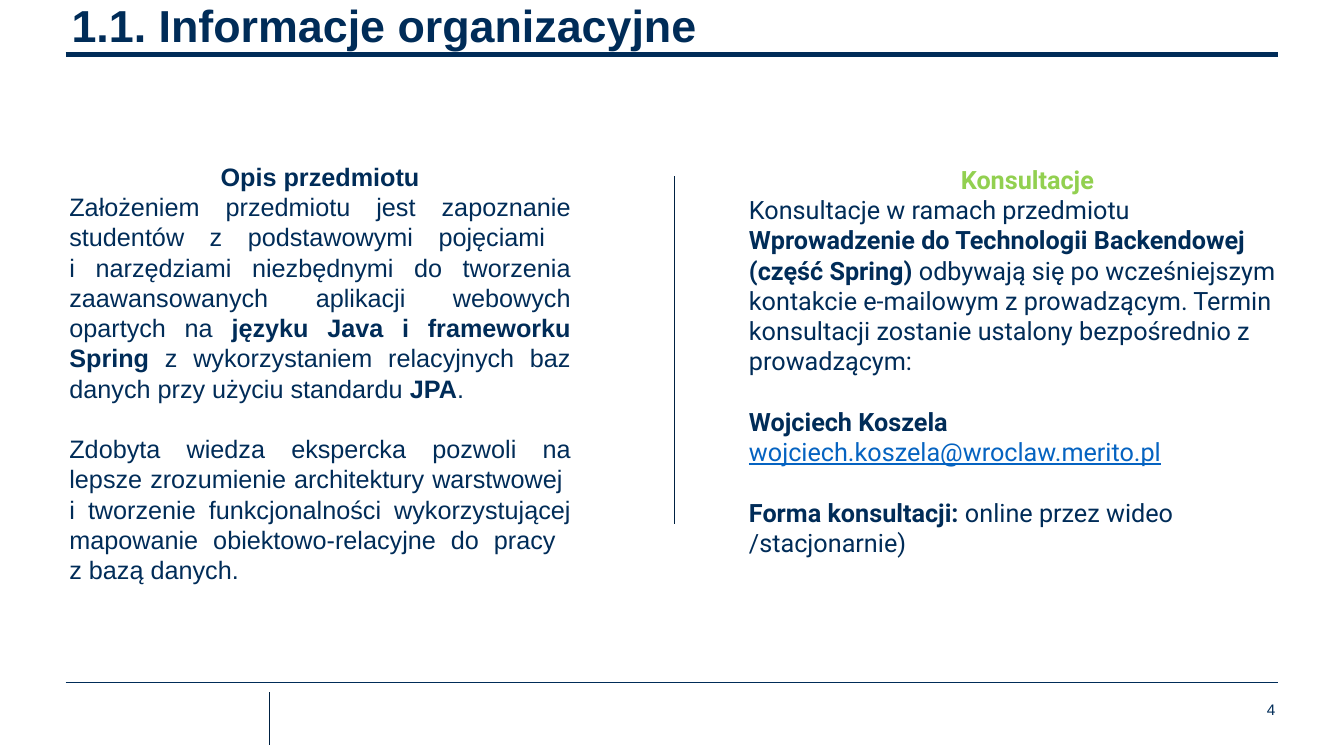
"""Build the course information slide with a description and consultation details."""
from dataclasses import dataclass

import lxml.etree
import pptx
import pptx.dml.color
import pptx.enum.shapes
import pptx.enum.text
import pptx.oxml.ns
import pptx.util

Inches = pptx.util.Inches
Pt = pptx.util.Pt
ALIGN = pptx.enum.text.PP_ALIGN
NAVY, DARK, GREEN, BLUE = "002C58", "002142", "92D050", "0563C1"
LINE_PITCH = Pt(21.6)


@dataclass
class Span:
    text: str
    bold: bool = False
    color: str = NAVY
    underline: bool = False


@dataclass
class Para:
    spans: list[Span]
    align: ALIGN = ALIGN.LEFT
    gap: bool = False


@dataclass
class Column:
    left: float
    top: float
    width: float
    height: float
    font: str
    paras: list[Para]


@dataclass
class Rule:
    x1: float
    y1: float
    x2: float
    y2: float
    color: str = NAVY
    weight: float = 0.75


RULES = [
    Rule(0.65, 6.77, 12.68, 6.77),
    Rule(0.65, 0.54, 12.68, 0.54, weight=4),
    Rule(6.69, 1.75, 6.69, 5.2, DARK),
    Rule(2.67, 6.87, 2.67, 7.39, DARK),
]

COLUMNS = [
    Column(0.59, 1.55, 5.17, 4.34, "Arial", [
        Para([Span("Opis przedmiotu", True)], ALIGN.CENTER),
        Para([
            Span("Założeniem przedmiotu jest zapoznanie studentów z podstawowymi pojęciami \n"
                 "i narzędziami niezbędnymi do tworzenia zaawansowanych aplikacji webowych "
                 "opartych na"),
            Span(" języku Java i frameworku Spring ", True),
            Span("z wykorzystaniem relacyjnych baz danych przy użyciu standardu "),
            Span("JPA", True),
            Span("."),
        ], ALIGN.JUSTIFY),
        Para([
            Span("Zdobyta wiedza ekspercka pozwoli na lepsze zrozumienie architektury "
                 "warstwowej \ni tworzenie funkcjonalności wykorzystującej mapowanie "
                 "obiektowo-relacyjne do pracy \nz bazą danych."),
        ], ALIGN.JUSTIFY, gap=True),
    ]),
    Column(7.33, 1.58, 5.72, 4.34, "Roboto", [
        Para([Span("Konsultacje", True, GREEN)], ALIGN.CENTER),
        Para([
            Span("Konsultacje w ramach przedmiotu\n"),
            Span("Wprowadzenie do Technologii Backendowej (część Spring) ", True),
            Span("odbywają się po wcześniejszym kontakcie e-mailowym z prowadzącym. "
                 "Termin konsultacji zostanie ustalony bezpośrednio z prowadzącym:"),
        ]),
        Para([
            Span("Wojciech Koszela ", True),
            Span("wojciech.koszela@wroclaw.merito.pl", color=BLUE, underline=True),
        ], gap=True),
        Para([
            Span("Forma konsultacji:", True),
            Span(" online przez wideo /stacjonarnie)"),
        ], gap=True),
    ]),
]


def rgb(color: str) -> pptx.dml.color.RGBColor:
    return pptx.dml.color.RGBColor.from_string(color)


def set_font(font, name: str, size: float, color: str = NAVY) -> None:
    font.name = name
    font.size = Pt(size)
    font.color.rgb = rgb(color)


def clear_insets(tf) -> None:
    tf.margin_left = tf.margin_top = tf.margin_right = tf.margin_bottom = 0


def add_rule(s, rule: Rule) -> None:
    ends = (Inches(v) for v in (rule.x1, rule.y1, rule.x2, rule.y2))
    sp = s.shapes.add_connector(pptx.enum.shapes.MSO_CONNECTOR.STRAIGHT, *ends)
    sp.line.color.rgb = rgb(rule.color)
    sp.line.width = Pt(rule.weight)
    lxml.etree.SubElement(sp._element.spPr, pptx.oxml.ns.qn("a:effectLst"))


def add_span(p, span: Span) -> None:
    for i, line in enumerate(span.text.split("\n")):
        if i:
            p.add_line_break()
        if line:
            r = p.add_run()
            r.text = line
            r.font.bold = span.bold
            r.font.underline = span.underline
            r.font.color.rgb = rgb(span.color)


def add_column(s, col: Column) -> None:
    box = (Inches(v) for v in (col.left, col.top, col.width, col.height))
    tf = s.shapes.add_textbox(*box).text_frame
    tf.word_wrap = True
    for i, para in enumerate(col.paras):
        p = tf.add_paragraph() if i else tf.paragraphs[0]
        p.alignment = para.align
        p.line_spacing = LINE_PITCH
        if para.gap:
            p.space_before = LINE_PITCH
        set_font(p.font, col.font, 18)
        for span in para.spans:
            add_span(p, span)


def add_title(s, text: str) -> None:
    sp = s.shapes.title
    sp.left, sp.top, sp.width, sp.height = (Inches(v) for v in (0.71, 0.04, 11.44, 0.49))
    tf = sp.text_frame
    tf.text = text
    tf.auto_size = pptx.enum.text.MSO_AUTO_SIZE.NONE
    tf.vertical_anchor = pptx.enum.text.MSO_ANCHOR.TOP
    clear_insets(tf)
    p = tf.paragraphs[0]
    p.alignment = ALIGN.LEFT
    p.line_spacing = 0.9
    set_font(p.font, "Arial", 32)
    p.font.bold = True


def add_page_number(s, text: str) -> None:
    box = (Inches(v) for v in (11.96, 6.95, 0.69, 0.18))
    tf = s.shapes.add_textbox(*box).text_frame
    tf.word_wrap = True
    clear_insets(tf)
    p = tf.paragraphs[0]
    p.text = text
    p.alignment = ALIGN.RIGHT
    set_font(p.font, "Arial", 10.9)


def main() -> None:
    prs = pptx.Presentation()
    prs.slide_width, prs.slide_height = Inches(13.33), Inches(7.5)
    s = prs.slides.add_slide(prs.slide_layouts[5])
    add_title(s, "1.1. Informacje organizacyjne")
    for rule in RULES:
        add_rule(s, rule)
    for col in COLUMNS:
        add_column(s, col)
    add_page_number(s, "4")
    prs.save("out.pptx")


if __name__ == "__main__":
    main()
